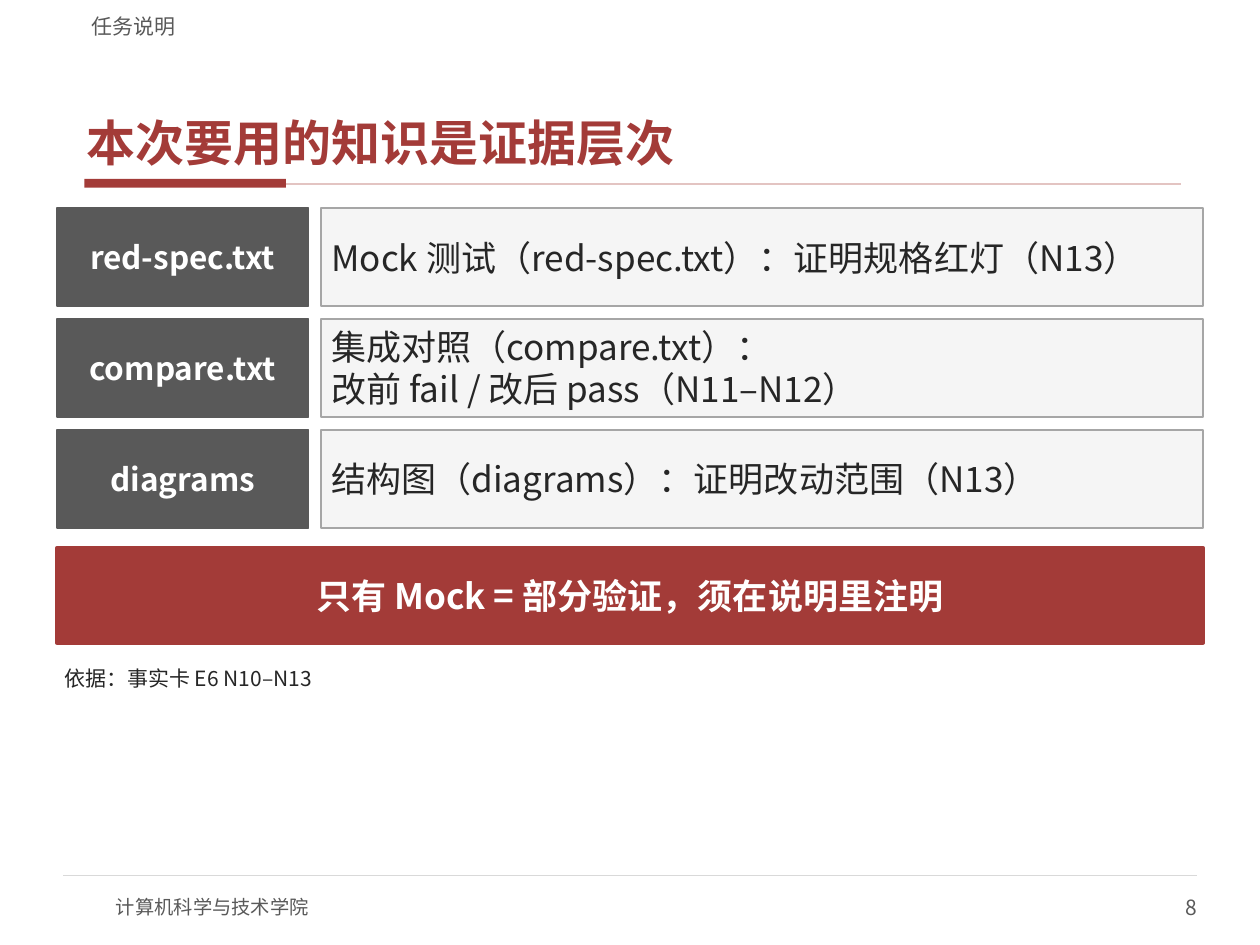
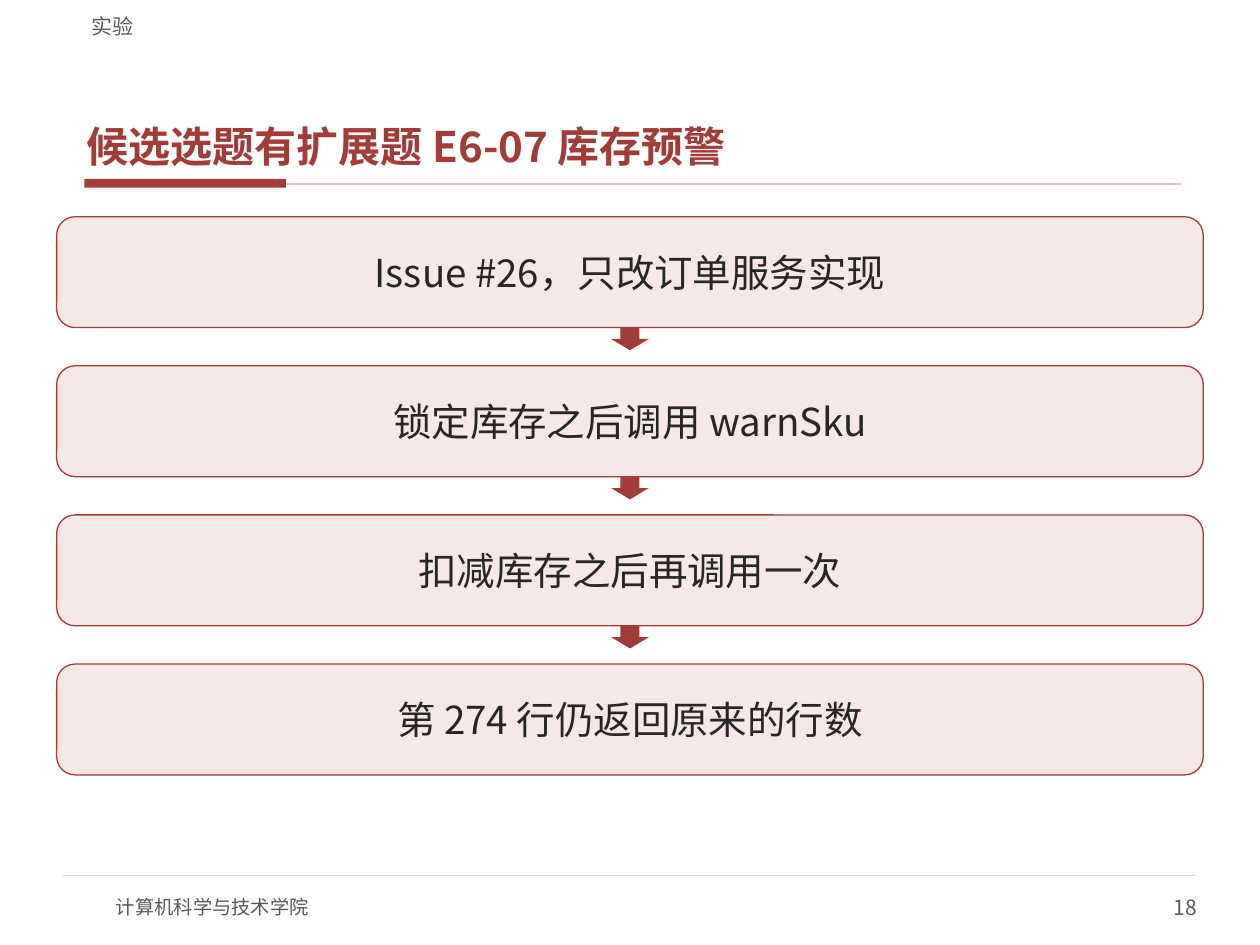
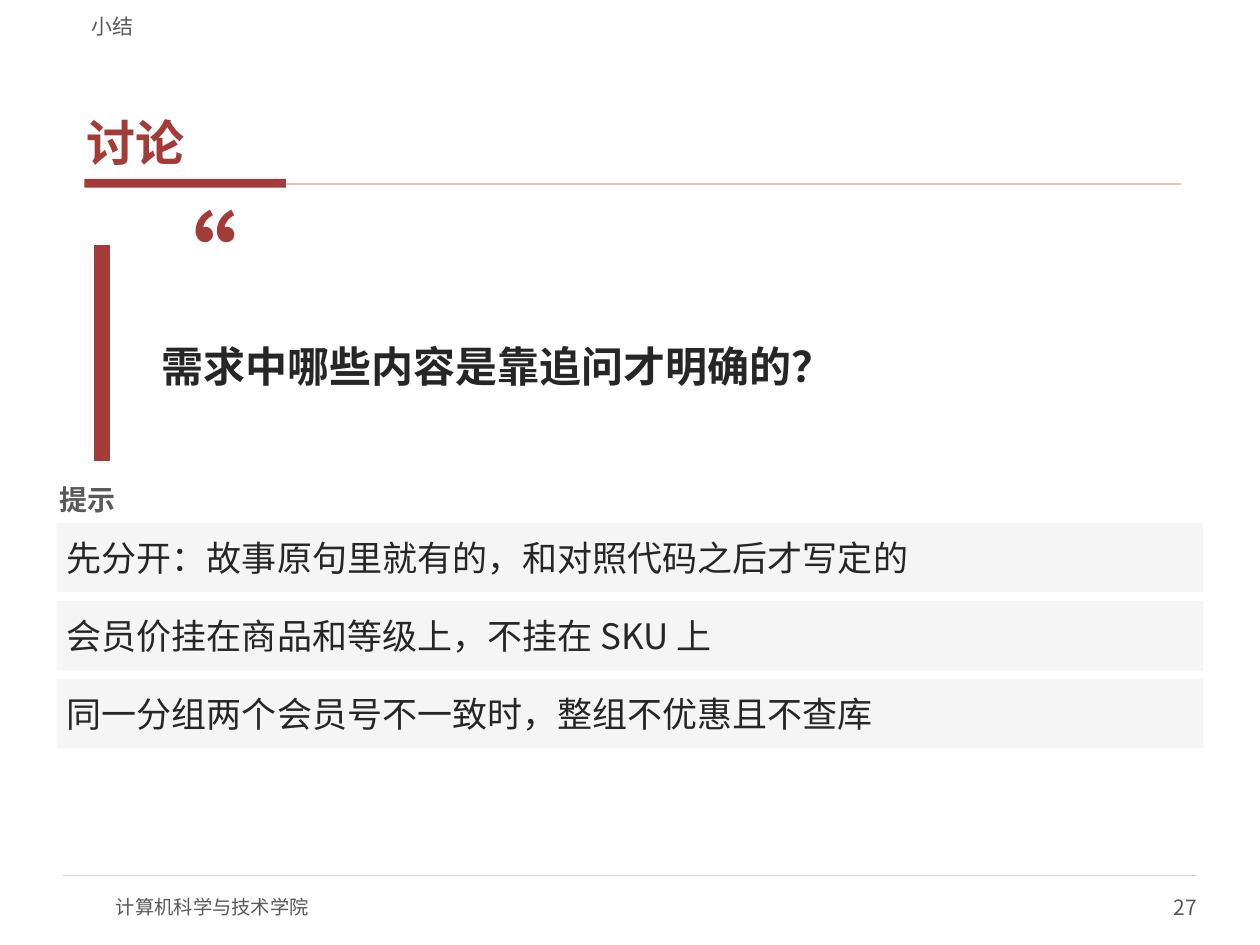
"""Build three lesson slides on evidence, a task and a discussion."""
from pptx import Presentation
from pptx.dml.color import RGBColor as RGB
from pptx.enum.shapes import MSO_CONNECTOR as Link, MSO_SHAPE as Kind
from pptx.enum.text import MSO_ANCHOR as Anchor, PP_ALIGN as Align
from pptx.oxml.ns import qn
from pptx.util import Inches, Pt

RED = RGB(0xA3, 0x3B, 0x38)
ROSE = RGB(0xE3, 0xC4, 0xC2)
PINK = RGB(0xF6, 0xE8, 0xE6)
INK = RGB(0x26, 0x26, 0x26)
GRAY = RGB(0x59, 0x59, 0x59)
EDGE = RGB(0xA6, 0xA6, 0xA6)
RULE = RGB(0xD9, 0xD9, 0xD9)
PALE = RGB(0xF5, 0xF5, 0xF5)
WHITE = RGB(0xFF, 0xFF, 0xFF)
FONT = "Noto Sans CJK SC"
SCHOOL = "计算机科学与技术学院"
LEFT, WIDE = 0.45, 9.1
NONE, THIN, WIDER = (0, 0), (0.06, 0.02), (0.08, 0.04)


class Deck:
    def __init__(self):
        self.prs = Presentation()
        self.prs.slide_width = Inches(10)
        self.prs.slide_height = Inches(7.5)
        self.slide = None

    def page(self, part, title, num, size=28):
        self.slide = self.prs.slides.add_slide(self.prs.slide_layouts[5])
        self.box(0.67, 1.42, 1.6, 0.07, RED)
        self.line(2.27, 9.37, 1.46, ROSE, 1)
        self.line(0.5, 9.5, 6.95, RULE, 0.75)
        self.text(0.92, 7, 4, 0.4, SCHOOL, 11, GRAY, pad=NONE)
        self.text(7.5, 7, 2, 0.4, str(num), 12, GRAY, pad=NONE, align=Align.RIGHT)
        self.text(0.63, 0.04, 8.75, 0.27, part, 12, GRAY,
                  pad=(0.1, 0), anchor=Anchor.BOTTOM)
        head = self.slide.shapes.title
        head.left, head.top, head.width, head.height = map(
            Inches, (0.63, 0.33, 8.75, 1.05))
        self.label(head, title, size, RED, bold=True, pad=THIN,
                   anchor=Anchor.BOTTOM, after=2)

    def label(self, shape, words, size, color, bold=False, pad=WIDER,
              align=Align.LEFT, anchor=Anchor.MIDDLE, after=0):
        frame = shape.text_frame
        frame.word_wrap = True
        frame.vertical_anchor = anchor
        frame.margin_left = frame.margin_right = Inches(pad[0])
        frame.margin_top = frame.margin_bottom = Inches(pad[1])
        para = frame.paragraphs[0]
        para.alignment = align
        para.space_before, para.space_after = Pt(0), Pt(after)
        for i, part in enumerate(words.split("\n")):
            if i:
                para.add_line_break()
            run = para.add_run()
            run.text = part
            font = run.font
            font.name, font.size, font.bold = FONT, Pt(size), bold
            font.color.rgb = color
            props = run._r.get_or_add_rPr()
            east = props.makeelement(qn("a:ea"), {"typeface": FONT})
            props.find(qn("a:latin")).addnext(east)

    def text(self, x, y, w, h, words, size, color, **style):
        area = self.slide.shapes.add_textbox(*map(Inches, (x, y, w, h)))
        self.label(area, words, size, color, **style)

    def box(self, x, y, w, h, fill, edge=None, width=1, kind=Kind.RECTANGLE):
        shape = self.slide.shapes.add_shape(kind, *map(Inches, (x, y, w, h)))
        shape.shadow.inherit = False
        shape.fill.solid()
        shape.fill.fore_color.rgb = fill
        if edge is None:
            shape.line.fill.background()
        else:
            shape.line.color.rgb = edge
            shape.line.width = Pt(width)
        return shape

    def line(self, start, end, y, color, width):
        rule = self.slide.shapes.add_connector(
            Link.STRAIGHT, *map(Inches, (start, y, end, y)))
        rule.line.color.rgb = color
        rule.line.width = Pt(width)
        props = rule._element.spPr
        props.append(props.makeelement(qn("a:effectLst"), {}))


def proof(deck):
    deck.page("任务说明", "本次要用的知识是证据层次", 8)
    deck.text(LEFT, 5.26, WIDE, 0.5, "依据：事实卡 E6 N10–N13", 12, INK,
              pad=THIN, anchor=Anchor.TOP, after=2)
    rows = [
        ("red-spec.txt", "Mock 测试（red-spec.txt）：证明规格红灯（N13）"),
        ("compare.txt", "集成对照（compare.txt）：\n改前 fail / 改后 pass（N11–N12）"),
        ("diagrams", "结构图（diagrams）：证明改动范围（N13）"),
    ]
    for i, (name, fact) in enumerate(rows):
        y = 1.65 + 0.88 * i
        deck.label(deck.box(LEFT, y, 2, 0.78, GRAY, GRAY), name, 18, WHITE,
                   bold=True, align=Align.CENTER)
        deck.label(deck.box(2.55, y, 7, 0.78, PALE, EDGE), fact, 20, INK)
    band = deck.box(LEFT, 4.35, WIDE, 0.75, RED, RED, 2.25)
    deck.label(band, "只有 Mock = 部分验证，须在说明里注明", 20, WHITE,
               bold=True, align=Align.CENTER)


def steps(deck):
    deck.page("实验", "候选选题有扩展题 E6-07 库存预警", 18, size=24)
    names = ["Issue #26，只改订单服务实现", "锁定库存之后调用 warnSku",
             "扣减库存之后再调用一次", "第 274 行仍返回原来的行数"]
    tall, pitch = 0.88, 3.55 / 3
    for i, name in enumerate(names):
        y = 1.72 + pitch * i
        if i:
            deck.box(4.85, y - pitch + tall, 0.3, 0.18, RED, kind=Kind.DOWN_ARROW)
        card = deck.box(LEFT, y, WIDE, tall, PINK, RED, 0.75,
                        Kind.ROUNDED_RECTANGLE)
        deck.label(card, name, 22, INK, pad=THIN, align=Align.CENTER, after=2)


def talk(deck):
    deck.page("小结", "讨论", 27)
    deck.box(0.75, 1.95, 0.12, 1.7, RED, RED)
    deck.text(1.05, 1.55, 1, 1, "“", 60, RED, bold=True, pad=NONE,
              anchor=Anchor.TOP)
    deck.text(1.2, 2.15, 8.35, 1.5, "需求中哪些内容是靠追问才明确的？", 24, INK,
              bold=True)
    deck.text(LEFT, 3.8, 3, 0.32, "提示", 16, GRAY, bold=True, pad=(0.02, 0.01))
    hints = ["先分开：故事原句里就有的，和对照代码之后才写定的",
             "会员价挂在商品和等级上，不挂在 SKU 上",
             "同一分组两个会员号不一致时，整组不优惠且不查库"]
    for i, hint in enumerate(hints):
        deck.label(deck.box(LEFT, 4.15 + 0.62 * i, WIDE, 0.55, PALE), hint, 20, INK)


def main():
    deck = Deck()
    proof(deck)
    steps(deck)
    talk(deck)
    deck.prs.save("out.pptx")


if __name__ == "__main__":
    main()
